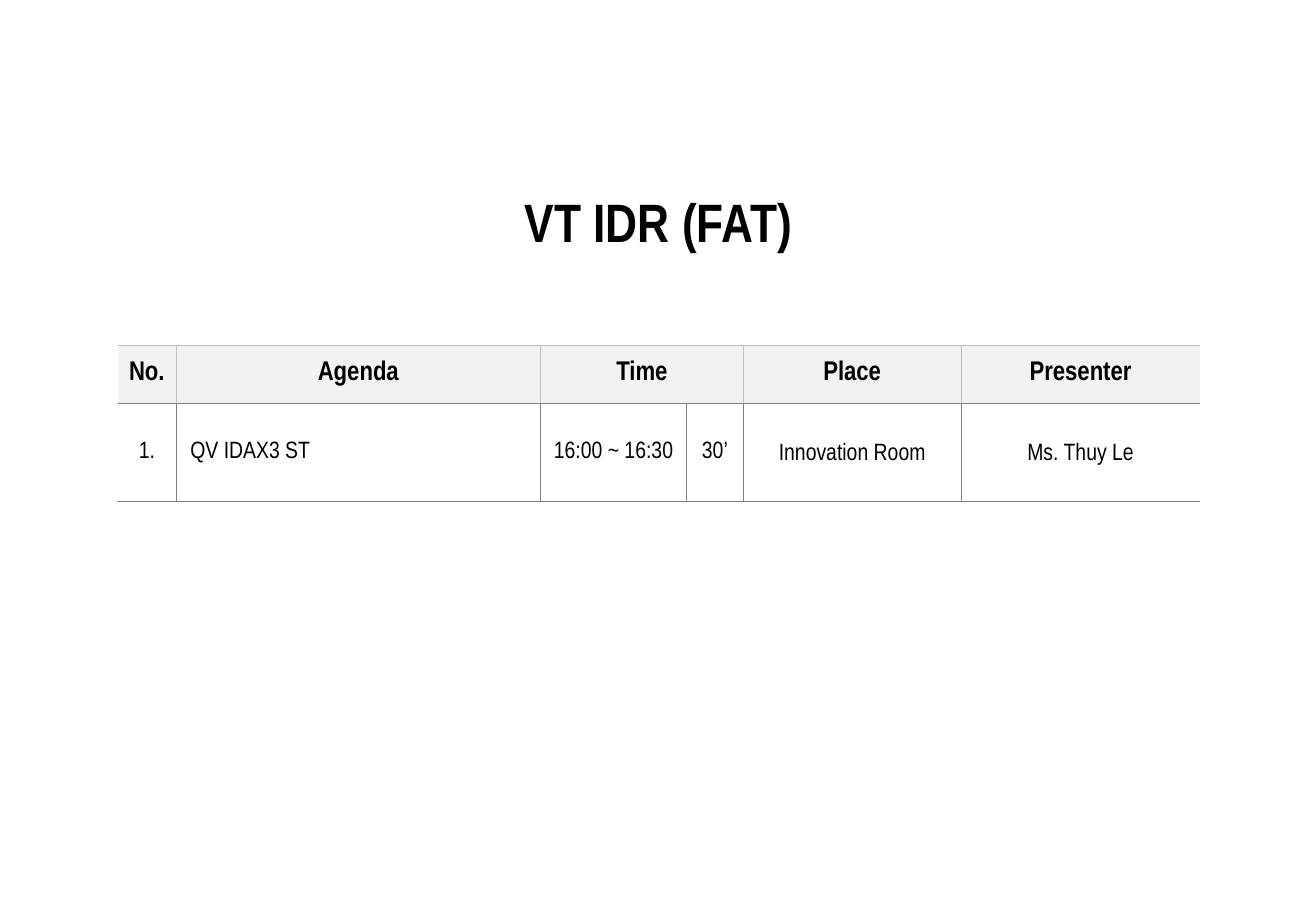
"""Build the agenda slide for the VT IDR (FAT) meeting."""
from lxml import etree
from pptx import Presentation
from pptx import util as u
from pptx.dml.color import RGBColor
from pptx.enum import text
from pptx.oxml.ns import qn

FONT = "Arial Narrow"
LIGHT, DARK = "BFBFBF", "808080"


def style(p, size, bold, align):
    p.alignment = align
    p.font.name = FONT
    p.font.size = u.Pt(size)
    p.font.bold = bold
    p.font.color.rgb = RGBColor.from_string("000000")


def border(cell, side, color):
    ln = etree.SubElement(cell._tc.get_or_add_tcPr(), qn("a:ln" + side), w=str(u.Pt(0.25)))
    if color is None:
        etree.SubElement(ln, qn("a:noFill"))
    else:
        fill = etree.SubElement(ln, qn("a:solidFill"))
        etree.SubElement(fill, qn("a:srgbClr"), val=color)


prs = Presentation()
prs.slide_width, prs.slide_height = u.Cm(27.51), u.Cm(19.05)
s = prs.slides.add_slide(prs.slide_layouts[5])

title = s.shapes.title
title.left, title.top, title.width, title.height = u.Cm(10.74), u.Cm(3.84), u.Cm(6.05), u.Cm(1.57)
tf = title.text_frame
tf.text = "VT IDR (FAT)"
tf.word_wrap = False
tf.auto_size = text.MSO_AUTO_SIZE.SHAPE_TO_FIT_TEXT
tf.margin_left = tf.margin_right = u.Cm(0.2)
tf.margin_top = tf.margin_bottom = u.Cm(0.1)
style(tf.paragraphs[0], 32, True, text.PP_ALIGN.CENTER)

widths = [1.22, 7.62, 3.05, 1.19, 4.55, 5.0]
heights = [1.22, 2.06]
rows = [
    ["No.", "Agenda", "Time", "", "Place", "Presenter"],
    ["1.", "QV IDAX3 ST", "16:00 ~ 16:30", "30’", "Innovation Room", "Ms. Thuy Le"],
]
last = len(widths) - 1
table = s.shapes.add_table(len(rows), len(widths), u.Cm(2.46), u.Cm(7.21),
                           u.Cm(sum(widths)), u.Cm(sum(heights))).table
table.horz_banding = False
for column, width in zip(table.columns, widths):
    column.width = u.Cm(width)
for row, height in zip(table.rows, heights):
    row.height = u.Cm(height)
table.cell(0, 2).merge(table.cell(0, 3))

for i, labels in enumerate(rows):
    header = i == 0
    inner = LIGHT if header else DARK
    for j, label in enumerate(labels):
        cell = table.cell(i, j)
        agenda = not header and j == 1
        cell.vertical_anchor = text.MSO_ANCHOR.MIDDLE
        cell.margin_left = u.Cm(0.3 if agenda else 0.1)
        cell.margin_right = cell.margin_top = cell.margin_bottom = u.Cm(0.1)
        border(cell, "L", inner if j > 0 else None)
        border(cell, "R", inner if j < last else None)
        border(cell, "T", inner)
        border(cell, "B", DARK)
        if header:
            cell.fill.solid()
            cell.fill.fore_color.rgb = RGBColor.from_string("F2F2F2")
        else:
            cell.fill.background()
        if cell.is_spanned:
            continue
        cell.text = label
        p = cell.text_frame.paragraphs[0]
        style(p, 16 if header else 14, header,
              text.PP_ALIGN.LEFT if agenda else text.PP_ALIGN.CENTER)
        if not header and j >= 4:
            p.line_spacing = 1.2

prs.save("out.pptx")
